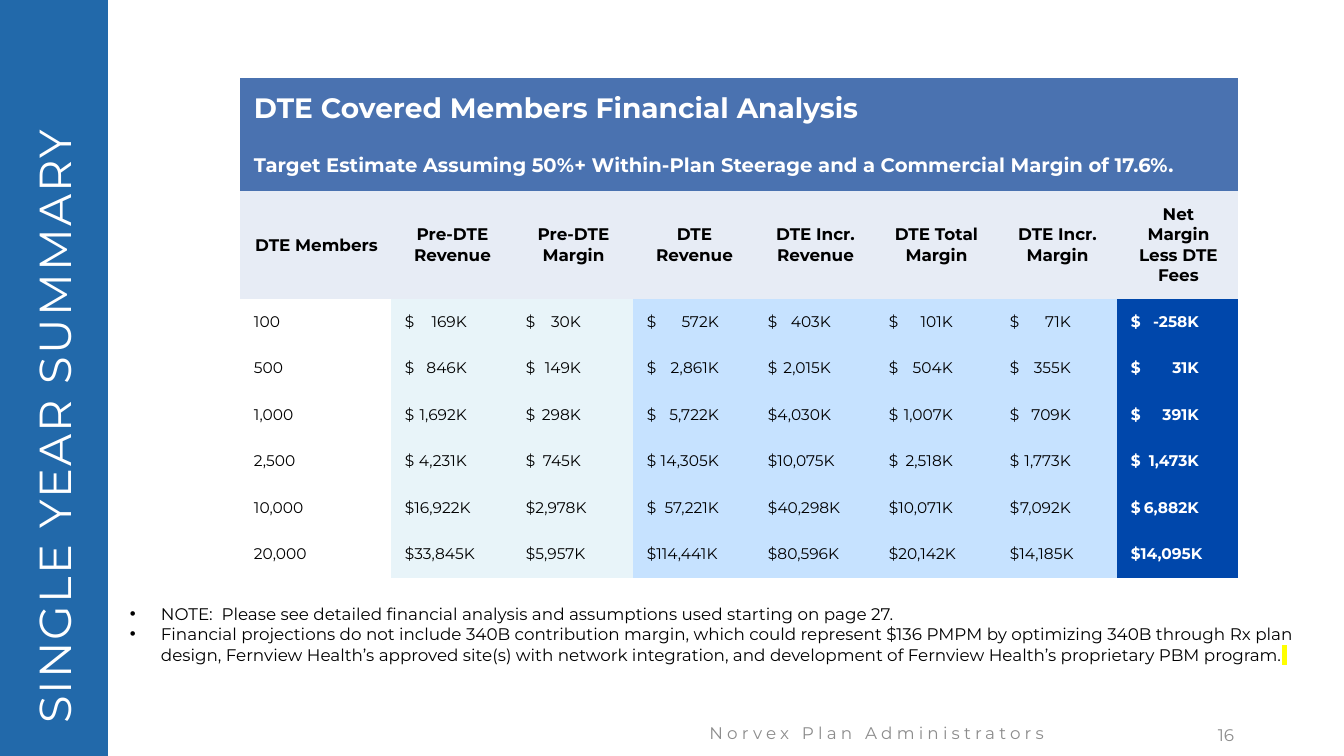
import pptx
import pptx.dml.color
import pptx.enum.shapes
import pptx.enum.text
import pptx.oxml
import pptx.oxml.ns
import pptx.util

PIXEL = 914400 / 100.8
ALIGN = pptx.enum.text.PP_ALIGN
MIDDLE = pptx.enum.text.MSO_ANCHOR.MIDDLE
NAMESPACE = pptx.oxml.ns.nsdecls("a")


def px(count):
    return pptx.util.Emu(round(count * PIXEL))


def color(value):
    return pptx.dml.color.RGBColor.from_string(value)


deck = pptx.Presentation()
deck.slide_width, deck.slide_height = px(1344), px(756)
page = deck.slides.add_slide(deck.slide_layouts[5])

for fill, alpha in (("F2F2F2", 100), ("00539F", 86)):
    band = page.shapes.add_shape(
        pptx.enum.shapes.MSO_SHAPE.RECTANGLE, 0, 0, px(108), px(756))
    band.shadow.inherit = False
    band.line.fill.background()
    band.fill.solid()
    band.fill.fore_color.rgb = color(fill)
    if alpha < 100:
        shade = band.fill._xPr.find(".//" + pptx.oxml.ns.qn("a:srgbClr"))
        shade.append(pptx.oxml.parse_xml(f'<a:alpha {NAMESPACE} val="{alpha * 1000}"/>'))

title = page.shapes.title
page.shapes._spTree.append(title._element)
footer = page.shapes.add_textbox(0, 0, 0, 0)
number = page.shapes.add_textbox(0, 0, 0, 0)

labels = (
    (title, "SINGLE YEAR SUMMARY", (-312, 327, 731, 83), 32, "FFFFFF", ALIGN.LEFT, 150),
    (footer, "Norvex Plan Administrators", (650, 713, 454, 40), 12, "8C8C8C", ALIGN.CENTER, 300),
    (number, "16", (941, 715, 303, 40), 12, "8C8C8C", ALIGN.RIGHT, 0),
)
for box, text, place, size, ink, align, spacing in labels:
    box.left, box.top, box.width, box.height = map(px, place)
    frame = box.text_frame
    frame.word_wrap = True
    frame.auto_size = pptx.enum.text.MSO_AUTO_SIZE.NONE
    frame.vertical_anchor = MIDDLE
    para = frame.paragraphs[0]
    para.alignment = align
    span = para.add_run()
    span.text = text
    for name, value in {"size": pptx.util.Pt(size), "name": "Montserrat"}.items():
        setattr(span.font, name, value)
    span.font.color.rgb = color(ink)
    span.font._element.set("spc", str(spacing))
title.rotation = 270

notes = (
    ("NOTE:  Please see detailed financial analysis and assumptions used starting on page 27.",),
    ("Financial projections do not include 340B contribution margin, which could represent "
     "$136 PMPM by optimizing 340B through Rx plan design, Fernview Health’s approved site(s) "
     "with network integration, and development of Fernview Health’s proprietary PBM program.", " "),
)
box = page.shapes.add_textbox(px(120), px(599), px(1200), px(72))
frame = box.text_frame
frame.word_wrap = True
for index, pieces in enumerate(notes):
    para = frame.add_paragraph() if index else frame.paragraphs[0]
    properties = para._p.get_or_add_pPr()
    properties.set("marL", str(px(31)))
    properties.set("indent", str(-px(31)))
    properties.append(pptx.oxml.parse_xml(f'<a:buFont {NAMESPACE} typeface="Arial"/>'))
    properties.append(pptx.oxml.parse_xml(f'<a:buChar {NAMESPACE} char="•"/>'))
    for piece in pieces:
        span = para.add_run()
        span.text = piece
        for name, value in {"size": pptx.util.Pt(12), "name": "Montserrat"}.items():
            setattr(span.font, name, value)
        span.font.color.rgb = color("000000")
highlight = pptx.oxml.parse_xml(
    f'<a:highlight {NAMESPACE}><a:srgbClr val="FFFF00"/></a:highlight>')
span.font._element.find(pptx.oxml.ns.qn("a:solidFill")).addnext(highlight)
span.font._element.set("spc", "500")

rows = (
    ("DTE Covered Members Financial Analysis",),
    ("Target Estimate Assuming 50%+ Within-Plan Steerage and a Commercial Margin of 17.6%.",),
    ("DTE Members", "Pre-DTE Revenue", "Pre-DTE Margin", "DTE Revenue", "DTE Incr. Revenue",
     "DTE Total Margin", "DTE Incr. Margin", "Net Margin Less DTE Fees"),
    ("100", "$\t169K", "$\t30K", "$\t572K", "$\t403K", "$\t101K", "$\t71K", "$\t-258K"),
    ("500", "$\t846K", "$\t149K", "$\t2,861K", "$\t2,015K", "$\t504K", "$\t355K", "$\t31K"),
    ("1,000", "$\t1,692K", "$\t298K", "$\t5,722K", "$\t4,030K", "$\t1,007K", "$\t709K", "$\t391K"),
    ("2,500", "$\t4,231K", "$\t745K", "$\t14,305K", "$10,075K", "$\t2,518K", "$\t1,773K", "$\t1,473K"),
    ("10,000", "$16,922K", "$2,978K", "$\t57,221K", "$40,298K", "$10,071K", "$\t7,092K", "$\t6,882K"),
    ("20,000", "$33,845K", "$5,957K", "$114,441K", "$80,596K", "$20,142K", "$14,185K", "$14,095K"),
)
heights = (61, 52, 108, 46, 47, 46, 47, 46, 47)
widths = (151,) + (121,) * 7
fills = (None,) + ("E8F4F9",) * 2 + ("C6E2FF",) * 4 + ("0047AB",)
tab_stops = (0, 62, 55, 72, 63, 64, 61, 68)
head_styles = ((20, "FFFFFF", "4A72B0"), (14, "FFFFFF", "4A72B0"), (12, "000000", "E7ECF5"))

table = page.shapes.add_table(
    len(rows), len(widths), px(240), px(78), px(sum(widths)), px(sum(heights))).table
table.first_row = table.horz_banding = False
style = table._tbl.tblPr.find(pptx.oxml.ns.qn("a:tableStyleId"))
style.text = "{2D5ABB26-0587-4C30-8999-92F81FD0307C}"
for column, width in zip(table.columns, widths):
    column.width = px(width)
for line, height in zip(table.rows, heights):
    line.height = px(height)
for row in (0, 1):
    table.cell(row, 0).merge(table.cell(row, 7))

for row, texts in enumerate(rows):
    for column, text in enumerate(texts):
        cell = table.cell(row, column)
        last = column == 7
        if row < 3:
            size, ink, fill = head_styles[row]
        else:
            size, ink, fill = 11, "FFFFFF" if last else "000000", fills[column]
        margins = {"margin_left": 14, "margin_right": 12, "margin_top": 10, "margin_bottom": 10}
        for name, value in margins.items():
            setattr(cell, name, px(value))
        cell.vertical_anchor = MIDDLE
        if fill:
            cell.fill.solid()
            cell.fill.fore_color.rgb = color(fill)
        else:
            cell.fill.background()
        para = cell.text_frame.paragraphs[0]
        para.alignment = ALIGN.CENTER if row == 2 else ALIGN.LEFT
        if "\t" in text:
            para._p.get_or_add_pPr().append(pptx.oxml.parse_xml(
                f'<a:tabLst {NAMESPACE}><a:tab pos="{px(tab_stops[column])}" algn="r"/></a:tabLst>'))
        span = para.add_run()
        span.text = text
        font = {"size": pptx.util.Pt(size), "name": "Montserrat", "bold": row < 3 or last}
        for name, value in font.items():
            setattr(span.font, name, value)
        span.font.color.rgb = color(ink)

deck.save("out.pptx")
